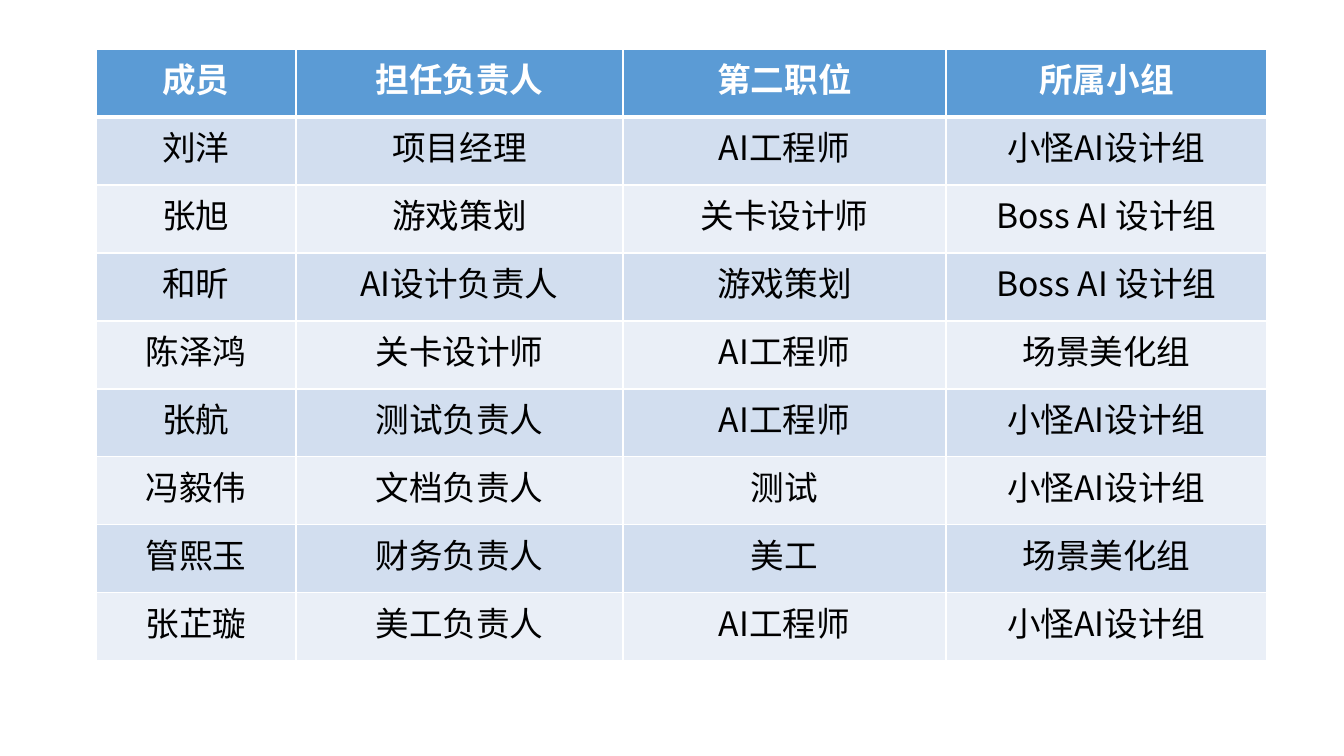
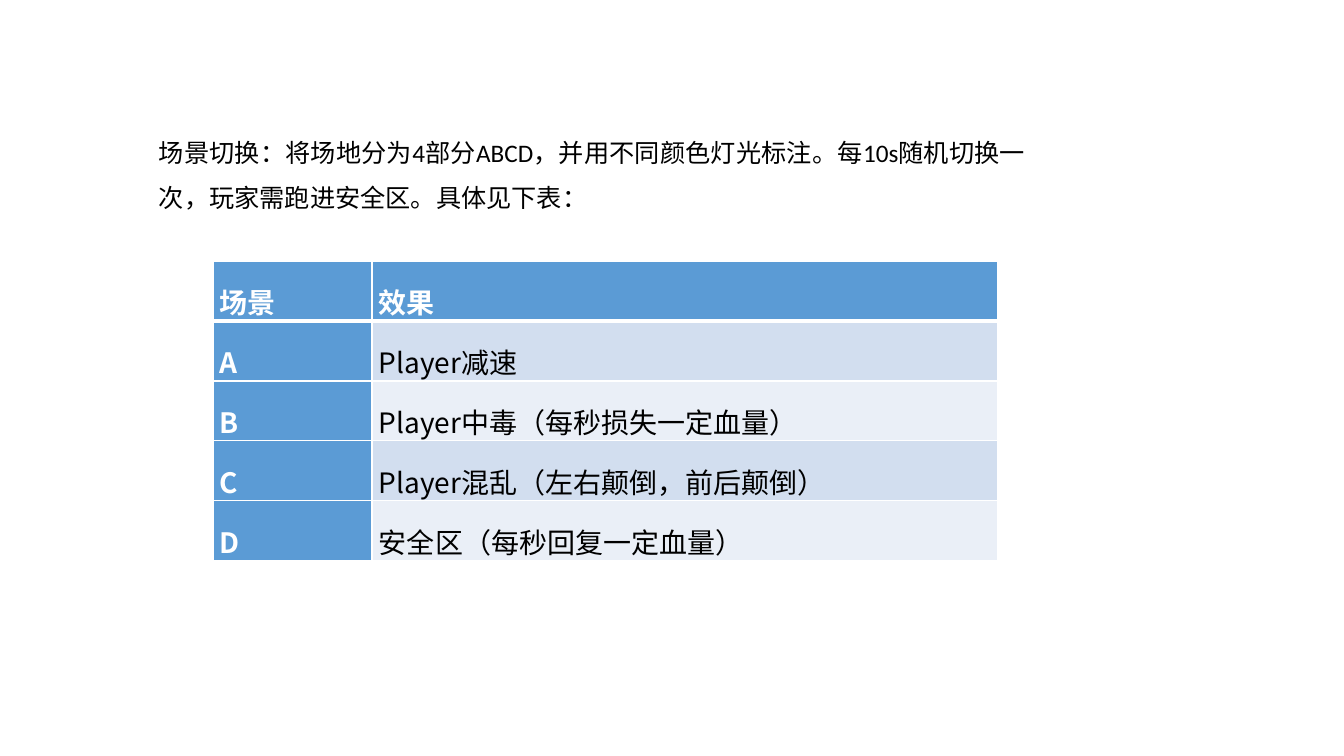
from dataclasses import dataclass

from lxml import etree
from pptx import Presentation
from pptx import util as u
from pptx.dml.color import RGBColor
from pptx.enum import text as t
from pptx.oxml import ns

EMU_PER_PX = 914400 / 100.8
BLANK_LAYOUT = 6

WHITE = RGBColor(0xFF, 0xFF, 0xFF)
BLACK = RGBColor(0x00, 0x00, 0x00)
BLUE = RGBColor(0x5B, 0x9B, 0xD5)
BANDS = (RGBColor(0xD2, 0xDE, 0xEF), RGBColor(0xEA, 0xEF, 0xF7))

CHINESE_FONT = "Noto Sans CJK SC"
LATIN_FONT = "Calibri"
THIN, THICK = 1, 3


@dataclass(frozen=True)
class TableDesign:
    left: int
    top: int
    columns: tuple[int, ...]
    row_height: int
    size: int
    align: t.PP_ALIGN
    rows: tuple[tuple[str, ...], ...]
    line_spacing: float = 1.0
    margin_x: int = 10
    margin_y: int = 5
    heading_column: bool = False


MEMBERS = TableDesign(
    left=96, top=49, columns=(200, 327, 323, 321), row_height=68,
    size=24, align=t.PP_ALIGN.CENTER,
    rows=(
        ("成员", "担任负责人", "第二职位", "所属小组"),
        ("刘洋", "项目经理", "AI工程师", "小怪AI设计组"),
        ("张旭", "游戏策划", "关卡设计师", "Boss AI 设计组"),
        ("和昕", "AI设计负责人", "游戏策划", "Boss AI 设计组"),
        ("陈泽鸿", "关卡设计师", "AI工程师", "场景美化组"),
        ("张航", "测试负责人", "AI工程师", "小怪AI设计组"),
        ("冯毅伟", "文档负责人", "测试", "小怪AI设计组"),
        ("管熙玉", "财务负责人", "美工", "场景美化组"),
        ("张芷璇", "美工负责人", "AI工程师", "小怪AI设计组"),
    ),
)

SCENES = TableDesign(
    left=213, top=261, columns=(159, 626), row_height=60,
    size=20, align=t.PP_ALIGN.JUSTIFY, line_spacing=1.5,
    margin_x=7, margin_y=0, heading_column=True,
    rows=(
        ("场景", "效果"),
        ("A", "Player减速"),
        ("B", "Player中毒（每秒损失一定血量）"),
        ("C", "Player混乱（左右颠倒，前后颠倒）"),
        ("D", "安全区（每秒回复一定血量）"),
    ),
)

SCENE_INTRO = (
    "场景切换：将场地分为4部分ABCD，并用不同颜色灯光标注。"
    "每10s随机切换一次，玩家需跑进安全区。具体见下表："
)


def px(length: int) -> u.Emu:
    return u.Emu(round(length * EMU_PER_PX))


def write_text(frame, content: str, *, size: int, align: t.PP_ALIGN,
               font: str = CHINESE_FONT, color: RGBColor = BLACK,
               bold: bool = False, line_spacing: float = 1.0) -> None:
    paragraph = frame.paragraphs[0]
    paragraph.alignment = align
    paragraph.line_spacing = line_spacing
    run = paragraph.add_run()
    run.text = content
    run.font.size = u.Pt(size)
    run.font.bold = bold
    run.font.color.rgb = color
    run.font.name = font
    east_asian = etree.SubElement(run._r.get_or_add_rPr(), ns.qn("a:ea"))
    east_asian.set("typeface", CHINESE_FONT)


def set_borders(cell, top: int, bottom: int) -> None:
    properties = cell._tc.get_or_add_tcPr()
    edges = (("lnL", THIN), ("lnR", THIN), ("lnT", top), ("lnB", bottom))
    for position, (edge, width) in enumerate(edges):
        line = etree.Element(ns.qn(f"a:{edge}"), w=str(u.Pt(width)))
        fill = etree.SubElement(line, ns.qn("a:solidFill"))
        etree.SubElement(fill, ns.qn("a:srgbClr"), val=str(WHITE))
        properties.insert(position, line)


def draw_table(slide, design: TableDesign) -> None:
    row_count = len(design.rows)
    table = slide.shapes.add_table(
        row_count, len(design.columns), px(design.left), px(design.top),
        px(sum(design.columns)), px(design.row_height * row_count),
    ).table
    table.horz_banding = False
    table.first_col = design.heading_column
    for column, width in zip(table.columns, design.columns):
        column.width = px(width)
    for row_index, values in enumerate(design.rows):
        table.rows[row_index].height = px(design.row_height)
        for column_index, value in enumerate(values):
            cell = table.cell(row_index, column_index)
            heading = row_index == 0 or (design.heading_column and column_index == 0)
            cell.margin_left = cell.margin_right = px(design.margin_x)
            cell.margin_top = cell.margin_bottom = px(design.margin_y)
            cell.fill.solid()
            cell.fill.fore_color.rgb = BLUE if heading else BANDS[(row_index - 1) % 2]
            set_borders(cell, top=THICK if row_index == 1 else THIN,
                        bottom=THICK if row_index == 0 else THIN)
            write_text(cell.text_frame, value, size=design.size, align=design.align,
                       color=WHITE if heading else BLACK, bold=heading,
                       line_spacing=design.line_spacing)


def draw_intro(slide) -> None:
    frame = slide.shapes.add_textbox(px(149), px(117), px(886), px(102)).text_frame
    frame.word_wrap = True
    frame.auto_size = t.MSO_AUTO_SIZE.SHAPE_TO_FIT_TEXT
    write_text(frame, SCENE_INTRO, size=18, align=t.PP_ALIGN.JUSTIFY,
               font=LATIN_FONT, line_spacing=1.5)


def main() -> None:
    presentation = Presentation()
    presentation.slide_width, presentation.slide_height = px(1344), px(756)
    layout = presentation.slide_layouts[BLANK_LAYOUT]
    draw_table(presentation.slides.add_slide(layout), MEMBERS)
    scene_slide = presentation.slides.add_slide(layout)
    draw_intro(scene_slide)
    draw_table(scene_slide, SCENES)
    presentation.save("out.pptx")


if __name__ == "__main__":
    main()
